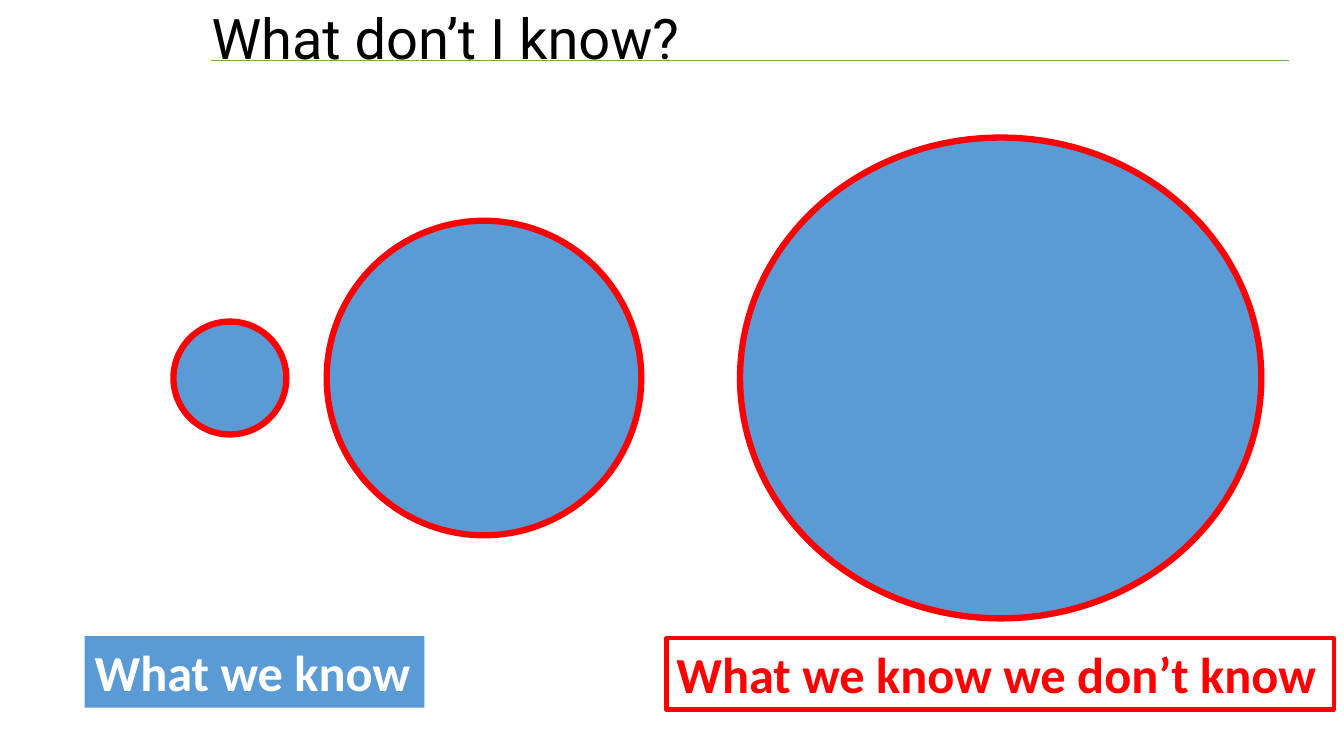
from lxml import etree
from pptx import Presentation
from pptx.dml.color import RGBColor
from pptx.enum.shapes import MSO_CONNECTOR, MSO_SHAPE
from pptx.enum.text import MSO_ANCHOR
from pptx.oxml.ns import qn
from pptx.util import Inches, Pt

STRAIGHT = MSO_CONNECTOR.STRAIGHT
OVAL = MSO_SHAPE.OVAL
MIDDLE = MSO_ANCHOR.MIDDLE
TOP = MSO_ANCHOR.TOP

BLUE, RED, GREEN = "5B9BD5", "FF0000", "70AD47"
BLACK, WHITE = "000000", "FFFFFF"


def color(hex_string):
    return RGBColor.from_string(hex_string)


def add_text(text, place, anchor, wrap, font_values, font_color):
    box = slide.shapes.add_textbox(*[Inches(value) for value in place])
    frame = box.text_frame
    frame.word_wrap = wrap
    frame.vertical_anchor = anchor
    span = frame.paragraphs[0].add_run()
    span.text = text
    for name, value in font_values.items():
        setattr(span.font, name, value)
    span.font.color.rgb = color(font_color)
    return box


deck = Presentation()
deck.slide_width = Inches(13.33)
deck.slide_height = Inches(7.5)
slide = deck.slides.add_slide(deck.slide_layouts[6])

# Title and its rule
rule = slide.shapes.add_connector(
    STRAIGHT, Inches(2.09), Inches(0.6), Inches(12.78), Inches(0.6))
rule.line.color.rgb = color(GREEN)
rule.line.width = Pt(0.5)
etree.SubElement(rule._element.spPr, qn("a:effectLst"))

title_font = {"name": "Roboto", "size": Pt(40)}
title = add_text("What don’t I know?", (2, 0, 10.78, 0.83), MIDDLE, True,
                 title_font, BLACK)
title.text_frame.paragraphs[0].line_spacing = 0.9

# Growing circles of knowledge on one horizontal axis
axis_y = 3.75
for left, width, height in [(1.72, 1.12, 1.12), (3.24, 3.12, 3.12), (7.34, 5.17, 4.77)]:
    circle = slide.shapes.add_shape(
        OVAL, Inches(left), Inches(axis_y - height / 2), Inches(width), Inches(height))
    circle.shadow.inherit = False
    circle.fill.solid()
    circle.fill.fore_color.rgb = color(BLUE)
    circle.line.color.rgb = color(RED)
    circle.line.width = Pt(4.5)

# Legend: the outline and the fill
label_font = {"name": "Calibri", "size": Pt(36), "bold": True}
unknown = add_text("What we know we don’t know", (6.61, 6.33, 6.62, 0.71), TOP, False,
                   label_font, RED)
unknown.line.color.rgb = color(RED)
unknown.line.width = Pt(3)

known = add_text("What we know", (0.84, 6.31, 3.37, 0.71), TOP, False,
                 label_font, WHITE)
known.fill.solid()
known.fill.fore_color.rgb = color(BLUE)

deck.save("out.pptx")
